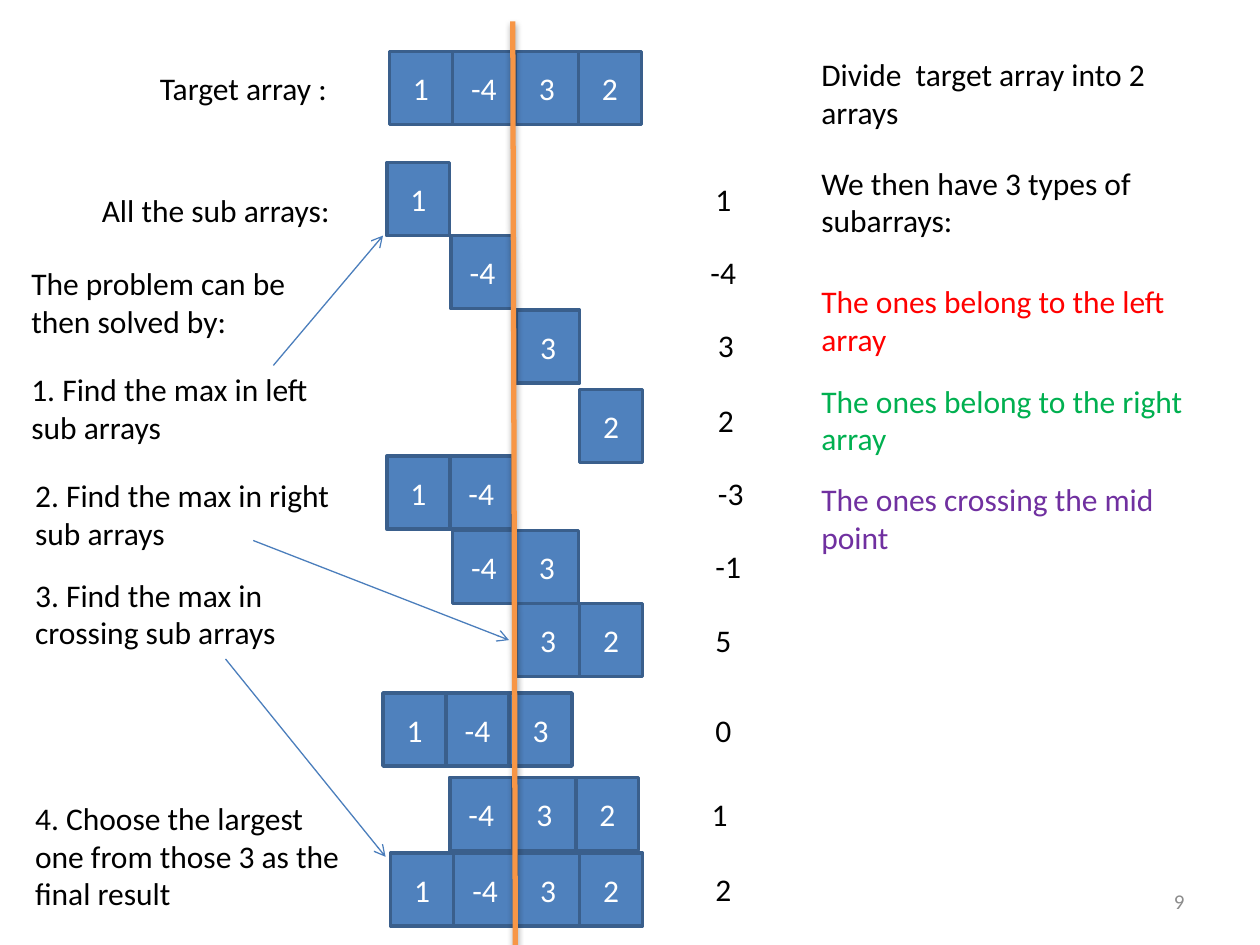
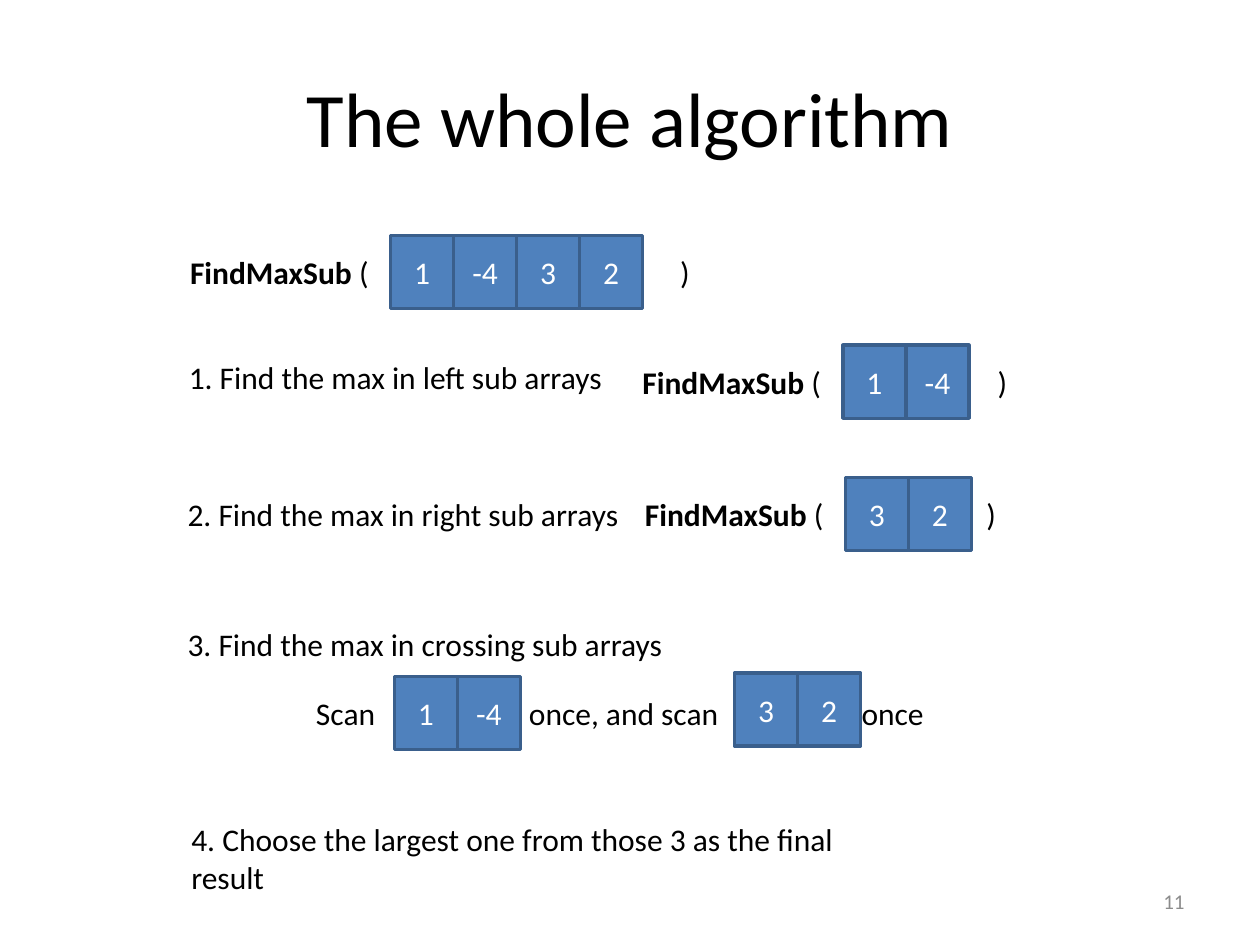
from dataclasses import dataclass

from lxml import etree
from pptx import Presentation
from pptx.dml.color import RGBColor
from pptx.enum.shapes import MSO_CONNECTOR, MSO_SHAPE
from pptx.enum.text import MSO_ANCHOR, MSO_AUTO_SIZE, PP_ALIGN
from pptx.oxml.ns import qn
from pptx.util import Emu, Pt

RECT, STRAIGHT = MSO_SHAPE.RECTANGLE, MSO_CONNECTOR.STRAIGHT
LEFT, CENTER, RIGHT = PP_ALIGN.LEFT, PP_ALIGN.CENTER, PP_ALIGN.RIGHT
MIDDLE, FIT = MSO_ANCHOR.MIDDLE, MSO_AUTO_SIZE.SHAPE_TO_FIT_TEXT
TITLE_ONLY, BLANK = 5, 6


@dataclass(frozen=True)
class Theme:
    font: str = "Calibri"
    title: int = 44
    body: int = 18
    small: int = 12
    ink: str = "000000"
    white: str = "FFFFFF"
    grey: str = "8C8C8C"
    cell: str = "4F81BD"
    border: str = "3A5F8C"
    arrow: str = "4B7EBC"
    divider: str = "F79646"
    left: str = "FF0000"
    right: str = "00B050"
    crossing: str = "7030A0"


THEME = Theme()
CELL_W, CELL_H = 50, 58
ARRAY = [1, -4, 3, 2]
LEFT_HALF, RIGHT_HALF = ARRAY[:2], ARRAY[2:]

# Subarrays: cell left, cell top, sum left, sum top, values
SUBARRAYS = [
    (307, 129, 558, 138, [1]),
    (358, 187, 554, 196, [-4]),
    (410, 246, 560, 254, [3]),
    (460, 309, 560, 313, [2]),
    (307, 362, 560, 371, [1, -4]),
    (359, 421, 558, 429, [-4, 3]),
    (410, 479, 558, 488, [3, 2]),
    (304, 550, 558, 559, [1, -4, 3]),
    (357, 617, 555, 626, [-4, 3, 2]),
    (310, 677, 558, 686, ARRAY),
]

# Text on the first slide: left, top, width, wording, colour
DIVIDE_NOTES = [
    (117, 50, 169, "Target array :", THEME.ink),
    (71, 147, 217, "All the sub arrays:", THEME.ink),
    (642, 39, 309, "Divide  target array into 2 arrays", THEME.ink),
    (642, 125, 309, "We then have 3 types of subarrays:", THEME.ink),
    (642, 219, 309, "The ones belong to the left array", THEME.left),
    (642, 298, 309, "The ones belong to the right array", THEME.right),
    (642, 376, 309, "The ones crossing the mid point", THEME.crossing),
    (15, 205, 243, "The problem can be then solved by:", THEME.ink),
]

# Steps, with their (left, top) on each slide
STEPS = [
    ("1. Find the max in left sub arrays", (15, 289), (140, 279)),
    ("2. Find the max in right sub arrays", (18, 373), (139, 388)),
    ("3. Find the max in crossing sub arrays", (18, 452), (139, 491)),
    ("4. Choose the largest one from those 3 as the final result",
     (18, 629), (142, 646)),
]
STEP_ARROWS = [(217, 290, 304, 187), (201, 429, 404, 508), (179, 523, 306, 680)]

# Calls: left, top, width, tab to the closing bracket, cell left, cell top, values
CALLS = [
    (141, 196, 488, 389, 310, 187, ARRAY),
    (500, 283, 351, 282, 669, 274, LEFT_HALF),
    (502, 388, 351, 271, 671, 379, RIGHT_HALF),
]


def px(n):
    """100 px to the inch."""
    return Emu(n * 9144)


def rgb(color):
    return RGBColor.from_string(color)


def style_run(r, size=THEME.body, color=THEME.ink, bold=False):
    r.font.name = THEME.font
    r.font.size = Pt(size)
    r.font.bold = bold
    r.font.color.rgb = rgb(color)


def add_text(slide, left, top, width, text, color=THEME.ink,
             size=THEME.body, align=LEFT):
    """One-paragraph text box; returns the paragraph."""
    tf = slide.shapes.add_textbox(px(left), px(top), px(width), px(40)).text_frame
    tf.word_wrap = True
    tf.auto_size = FIT
    p = tf.paragraphs[0]
    p.text = text
    p.alignment = align
    style_run(p.runs[0], size, color)
    return p


def set_tabs(p, *stops):
    tabs = etree.SubElement(p._p.get_or_add_pPr(), qn("a:tabLst"))
    for stop in stops:
        etree.SubElement(tabs, qn("a:tab"), pos=str(px(stop)), algn="l")


def add_cells(slide, left, top, values):
    for i, value in enumerate(values):
        sp = slide.shapes.add_shape(RECT, px(left + i * CELL_W), px(top),
                                    px(CELL_W), px(CELL_H))
        sp.shadow.inherit = False
        sp.fill.solid()
        sp.fill.fore_color.rgb = rgb(THEME.cell)
        sp.line.color.rgb = rgb(THEME.border)
        sp.line.width = Pt(2)
        tf = sp.text_frame
        tf.vertical_anchor = MIDDLE
        p = tf.paragraphs[0]
        p.text = str(value)
        p.alignment = CENTER
        style_run(p.runs[0], color=THEME.white)


def add_line(slide, ends, color, width):
    """Straight connector; returns it with its empty effect list."""
    line = slide.shapes.add_connector(STRAIGHT, *map(px, ends))
    line.line.color.rgb = rgb(color)
    line.line.width = Pt(width)
    effects = etree.SubElement(line._element.spPr, qn("a:effectLst"))
    return line, effects


def add_arrow(slide, ends):
    line, _ = add_line(slide, ends, THEME.arrow, 0.75)
    etree.SubElement(line.line._get_or_add_ln(), qn("a:tailEnd"), type="arrow")


def add_divider(slide, ends):
    _, effects = add_line(slide, ends, THEME.divider, 3)
    shadow = etree.SubElement(effects, qn("a:outerShdw"), blurRad=str(Pt(3.1)),
                              dist=str(Pt(1.8)), dir="5400000", rotWithShape="0")
    color = etree.SubElement(shadow, qn("a:srgbClr"), val=THEME.ink)
    etree.SubElement(color, qn("a:alpha"), val="35000")


def add_call(slide, left, top, width, tab, cell_left, cell_top, values):
    p = add_text(slide, left, top, width, "FindMaxSub")
    p.runs[0].font.bold = True
    r = p.add_run()
    r.text = " (\t)"
    style_run(r)
    set_tabs(p, tab)
    add_cells(slide, cell_left, cell_top, values)


def add_title(slide, text):
    sp = slide.shapes.title
    sp.left, sp.top, sp.width, sp.height = map(px, (50, 30, 900, 125))
    tf = sp.text_frame
    tf.text = text
    tf.vertical_anchor = MIDDLE
    tf.paragraphs[0].alignment = CENTER
    style_run(tf.paragraphs[0].runs[0], THEME.title)


def add_page_number(slide, number):
    add_text(slide, 717, 700, 233, str(number), THEME.grey, THEME.small, RIGHT)


def build_divide_slide(prs):
    slide = prs.slides.add_slide(prs.slide_layouts[BLANK])
    # Target array, its subarrays and their sums
    add_cells(slide, 309, 41, ARRAY)
    for left, top, sum_left, sum_top, values in SUBARRAYS:
        add_cells(slide, left, top, values)
        add_text(slide, sum_left, sum_top, 117, str(sum(values)))
    add_divider(slide, (407, 17, 409, 750))
    # Explanations and steps
    for note in DIVIDE_NOTES:
        add_text(slide, *note)
    for text, (left, top), _ in STEPS:
        add_text(slide, left, top, 272, text)
    for ends in STEP_ARROWS:
        add_arrow(slide, ends)
    add_page_number(slide, 9)


def build_algorithm_slide(prs):
    slide = prs.slides.add_slide(prs.slide_layouts[TITLE_ONLY])
    add_title(slide, "The whole algorithm")
    for text, _, (left, top) in STEPS:
        add_text(slide, left, top, 537, text)
    for call in CALLS:
        add_call(slide, *call)
    # Scan of both halves
    p = add_text(slide, 241, 546, 537, "Scan\tonce, and scan\tonce")
    set_tabs(p, 169, 433)
    add_cells(slide, 313, 537, LEFT_HALF)
    add_cells(slide, 583, 534, RIGHT_HALF)
    add_page_number(slide, 11)


def main():
    prs = Presentation()
    prs.slide_width, prs.slide_height = px(1000), px(750)
    build_divide_slide(prs)
    build_algorithm_slide(prs)
    prs.save("out.pptx")


if __name__ == "__main__":
    main()
